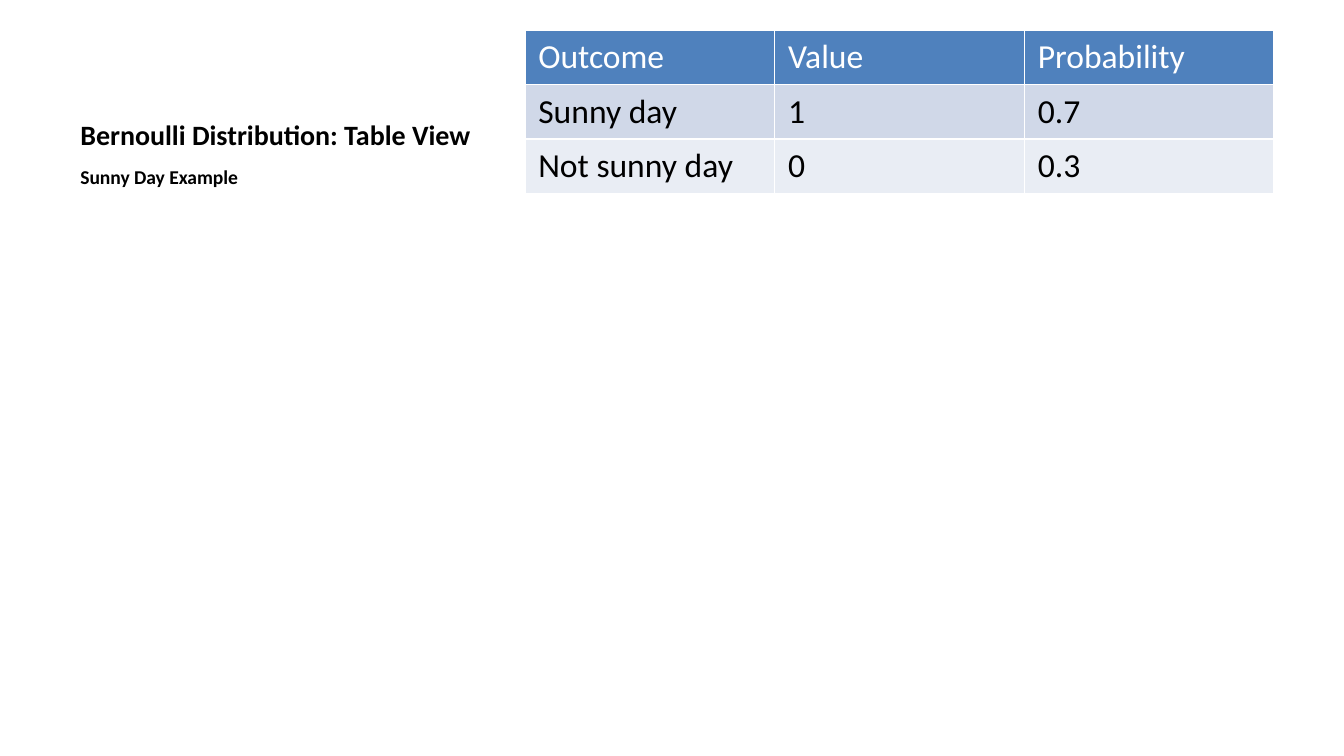
from pptx import Presentation
from pptx.dml.color import RGBColor
from pptx.enum.text import MSO_ANCHOR as Anchor
from pptx.util import Cm, Pt

FONT = "Calibri"
COLORS = {
    "text": "000000",
    "header_text": "FFFFFF",
    "header": "4F81BD",
    "odd_row": "D0D8E8",
    "even_row": "E9EDF4",
}
OUTCOMES = [
    ("Outcome", "Value", "Probability"),
    ("Sunny day", "1", "0.7"),
    ("Not sunny day", "0", "0.3"),
]
MARGIN_LEFT, HEADING_WIDTH = Cm(1.27), Cm(8.36)
TOP, TITLE_HEIGHT, SUBTITLE_HEIGHT = Cm(0.57), Cm(2.42), Cm(9.78)
TABLE_LEFT, COLUMN_WIDTH, ROW_HEIGHT = Cm(9.92), Cm(4.72), Cm(1.03)


def style_text(paragraph, size, color, bold=False):
    font = paragraph.font
    font.name, font.size, font.bold = FONT, Pt(size), bold
    font.color.rgb = RGBColor.from_string(COLORS[color])


def add_heading(slide, text, top, height, size, anchor):
    frame = slide.shapes.add_textbox(MARGIN_LEFT, top, HEADING_WIDTH, height).text_frame
    frame.word_wrap = True
    frame.vertical_anchor = anchor
    frame.text = text
    style_text(frame.paragraphs[0], size, "text", bold=True)


def add_outcome_table(slide):
    row_count, column_count = len(OUTCOMES), len(OUTCOMES[0])
    table = slide.shapes.add_table(
        row_count, column_count, TABLE_LEFT, TOP,
        COLUMN_WIDTH * column_count, ROW_HEIGHT * row_count,
    ).table
    for row_index, outcome in enumerate(OUTCOMES):
        if row_index == 0:
            fill, text_color = "header", "header_text"
        else:
            fill, text_color = ("odd_row" if row_index % 2 else "even_row"), "text"
        for column_index, value in enumerate(outcome):
            cell = table.cell(row_index, column_index)
            cell.text = value
            cell.fill.solid()
            cell.fill.fore_color.rgb = RGBColor.from_string(COLORS[fill])
            style_text(cell.text_frame.paragraphs[0], 18, text_color)


def main():
    presentation = Presentation()
    presentation.slide_width, presentation.slide_height = Cm(25.4), Cm(14.29)
    slide = presentation.slides.add_slide(presentation.slide_layouts[6])
    add_heading(slide, "Bernoulli Distribution: Table View",
                TOP, TITLE_HEIGHT, 15, Anchor.BOTTOM)
    add_heading(slide, "Sunny Day Example",
                TOP + TITLE_HEIGHT, SUBTITLE_HEIGHT, 10.5, Anchor.TOP)
    add_outcome_table(slide)
    presentation.save("out.pptx")


if __name__ == "__main__":
    main()
